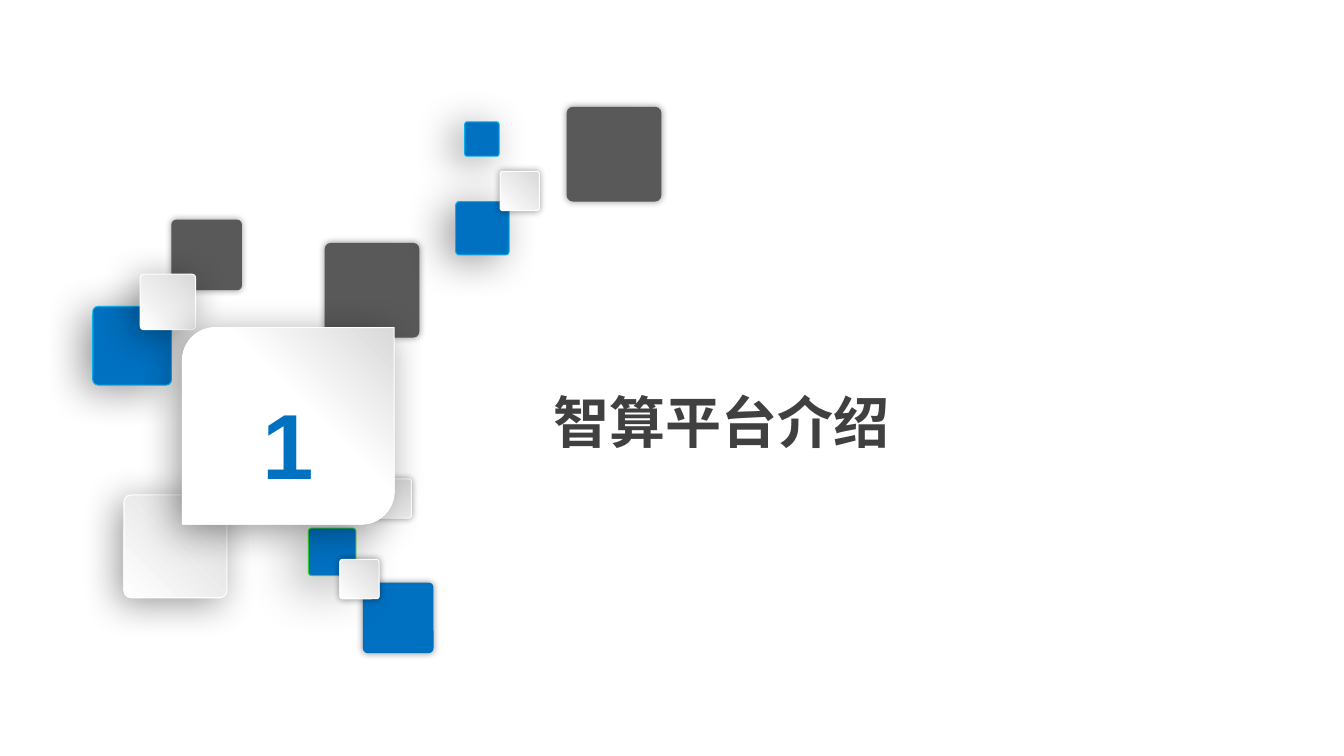
from dataclasses import dataclass
from typing import Optional

from lxml.etree import SubElement
from pptx import Presentation
from pptx.dml.color import RGBColor
from pptx.enum.shapes import MSO_SHAPE as SHAPE
from pptx.enum.text import MSO_ANCHOR as ANCHOR, PP_ALIGN as ALIGN
from pptx.oxml.ns import qn
from pptx.shapes.autoshape import Shape
from pptx.text.text import TextFrame
from pptx.util import Inches, Pt

BLUE = RGBColor(0x00, 0x70, 0xC0)
SKY = RGBColor(0x00, 0xB0, 0xF0)
GREEN = RGBColor(0x33, 0xCC, 0x33)
GRAY = RGBColor(0x59, 0x59, 0x59)
SILVER = RGBColor(0xD9, 0xD9, 0xD9)
WHITE = RGBColor(0xFF, 0xFF, 0xFF)
INK = RGBColor(0x40, 0x40, 0x40)


@dataclass(frozen=True)
class Shadow:
    blur: int
    dist: int
    angle: int


GLOW = Shadow(5, 0, 0)
LIFT = Shadow(27, 6, 135)
DRIFT = Shadow(29, 8, 150)
DEEP = Shadow(40, 9, 135)


@dataclass(frozen=True)
class Look:
    fill: Optional[RGBColor]
    line: Optional[RGBColor]
    shadow: Shadow


DARK = Look(GRAY, None, GLOW)
PLAIN_BLUE = Look(BLUE, None, GLOW)
SKY_BLUE = Look(BLUE, SKY, DRIFT)
GREEN_EDGE = Look(BLUE, GREEN, DEEP)
PALE = Look(None, WHITE, GLOW)
PALE_LIFTED = Look(None, WHITE, LIFT)


@dataclass(frozen=True)
class Tile:
    left: float
    top: float
    size: float
    look: Look


LEFT_TILES = [
    Tile(0.92, 3.04, 0.78, SKY_BLUE),
    Tile(1.7, 2.18, 0.7, DARK),
    Tile(1.39, 2.72, 0.55, PALE_LIFTED),
]
LOOSE_TILES = [
    Tile(3.69, 4.75, 0.39, PALE),
    Tile(1.23, 4.91, 1.02, PALE_LIFTED),
]
BOTTOM_TILES = [
    Tile(3.6, 5.78, 0.7, PLAIN_BLUE),
    Tile(3.06, 5.24, 0.47, GREEN_EDGE),
    Tile(3.37, 5.55, 0.39, PALE),
]
TOP_TILES = [
    Tile(3.22, 2.41, 0.94, DARK),
    Tile(4.52, 2, 0.53, SKY_BLUE),
    Tile(4.61, 1.21, 0.34, SKY_BLUE),
    Tile(4.96, 1.7, 0.39, PALE),
    Tile(5.62, 1.06, 0.94, DARK),
]


def add_shadow(sp: Shape, shadow: Shadow) -> None:
    sp.shadow.inherit = False
    effects = sp._element.spPr.find(qn("a:effectLst"))
    outer = SubElement(effects, qn("a:outerShdw"), blurRad=str(Pt(shadow.blur)),
                       dist=str(Pt(shadow.dist)), dir=str(shadow.angle * 60000),
                       algn="ctr", rotWithShape="0")
    color = SubElement(outer, qn("a:srgbClr"), val="000000")
    SubElement(color, qn("a:alpha"), val="40000")


def style(sp: Shape, look: Look, white_at: float = 1.0) -> None:
    if look.fill is None:
        sp.fill.gradient()
        sp.fill.gradient_angle = 225
        stops = sp.fill.gradient_stops
        for stop, color, position in zip(stops, (SILVER, WHITE), (0, white_at)):
            stop.color.rgb = color
            stop.position = position
    else:
        sp.fill.solid()
        sp.fill.fore_color.rgb = look.fill
    if look.line is None:
        sp.line.fill.background()
    else:
        sp.line.color.rgb = look.line
        sp.line.width = Pt(0.75)
    add_shadow(sp, look.shadow)


def add_tiles(shapes, tiles: list[Tile]) -> None:
    for tile in tiles:
        sp = shapes.add_shape(SHAPE.ROUNDED_RECTANGLE, Inches(tile.left), Inches(tile.top),
                              Inches(tile.size), Inches(tile.size))
        sp.adjustments[0] = 0.067
        style(sp, tile.look)


def write(tf: TextFrame, text: str, size: int, color: RGBColor) -> None:
    tf.word_wrap = True
    tf.vertical_anchor = ANCHOR.MIDDLE
    p = tf.paragraphs[0]
    p.text = text
    p.font.name = "Arial"
    p.font.size = Pt(size)
    p.font.bold = True
    p.font.color.rgb = color


def add_title(shapes) -> None:
    tf = shapes.add_textbox(Inches(5.35), Inches(3.82), Inches(5.45), Inches(0.71)).text_frame
    tf.margin_left = tf.margin_right = Inches(0.14)
    tf.margin_top = tf.margin_bottom = Inches(0.07)
    write(tf, "智算平台介绍", 40, INK)


def add_number_panel(shapes) -> None:
    sp = shapes.add_shape(SHAPE.ROUND_2_DIAG_RECTANGLE, Inches(1.81), Inches(3.25),
                          Inches(2.1), Inches(1.95))
    style(sp, PALE_LIFTED, white_at=0.42)
    tf = sp.text_frame
    tf.margin_left = tf.margin_right = Inches(0.09)
    tf.margin_top = tf.margin_bottom = Inches(0.04)
    write(tf, "1", 66, BLUE)
    tf.paragraphs[0].alignment = ALIGN.CENTER
    tf.paragraphs[0].line_spacing = 1.3


def main() -> None:
    prs = Presentation()
    prs.slide_width, prs.slide_height = Inches(13.33), Inches(7.5)
    s = prs.slides.add_slide(prs.slide_layouts[6])
    add_title(s.shapes)
    add_tiles(s.shapes.add_group_shape().shapes, LEFT_TILES)
    add_tiles(s.shapes, LOOSE_TILES)
    for tiles in (BOTTOM_TILES, TOP_TILES):
        add_tiles(s.shapes.add_group_shape().shapes, tiles)
    add_number_panel(s.shapes)
    prs.save("out.pptx")


if __name__ == "__main__":
    main()
